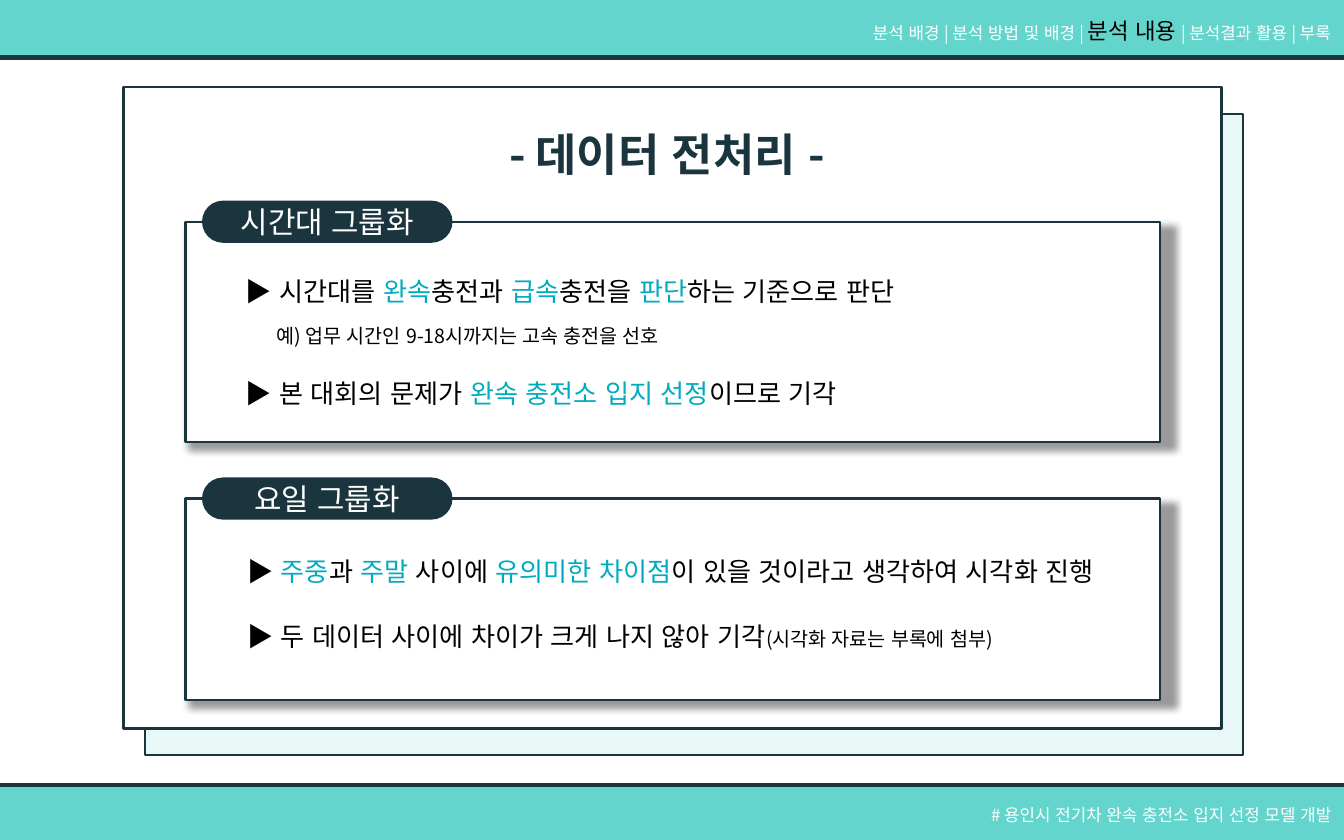
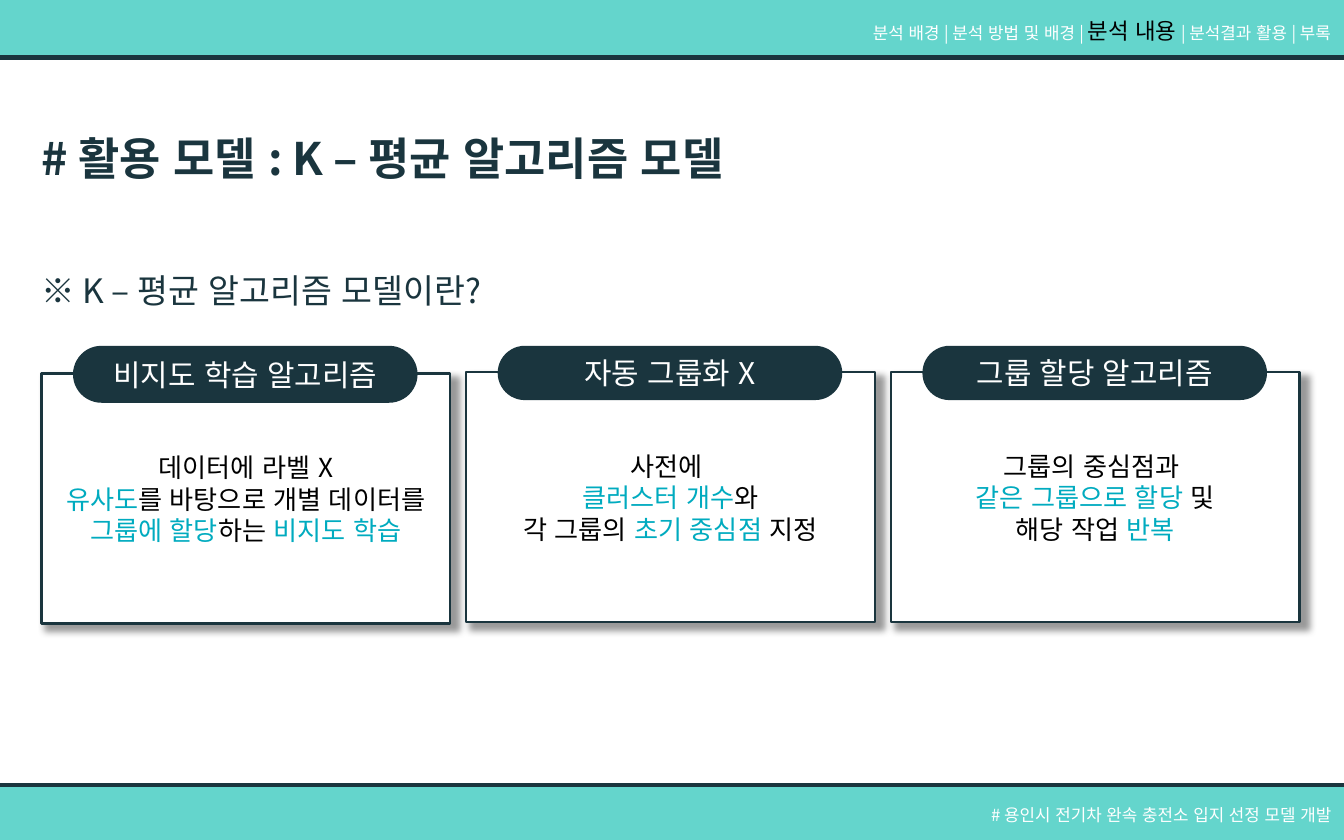
"""Build two analysis slides on data preprocessing and the K-means model."""
import pptx
import pptx.dml.color
import pptx.enum.shapes
import pptx.enum.text
import pptx.oxml
import pptx.oxml.ns
import pptx.util
from pptx.util import Inches

FONT = "Noto Sans CJK KR"
NAVY, TEAL, MINT, CYAN = "1A353E", "31C7BB", "65D5CC", "00ABBF"
WHITE, BLACK = "FFFFFF", "000000"
SHAPE = pptx.enum.shapes.MSO_SHAPE
ALIGN = pptx.enum.text.PP_ALIGN
ANCHOR = pptx.enum.text.MSO_ANCHOR
FIT = pptx.enum.text.MSO_AUTO_SIZE.SHAPE_TO_FIT_TEXT

NAV = "분석 배경 | 분석 방법 및 배경 | *분석 내용* | 분석결과 활용 | 부록"
FOOTER = "# 용인시 전기차 완속 충전소 입지 선정 모델 개발"

PREPROCESSING = "- 데이터 전처리 - "
PANELS = [
    {
        "name": "시간대 그룹화",
        "box": (1.38, 1.65, 7.25, 1.64),
        "list": (1.73, 2, 5.79, 1.1),
        "lines": [
            {"text": "▶ 시간대를 *완속*충전과 *급속*충전을 *판단*하는 기준으로 판단"},
            {"text": "예) 업무 시간인 9-18시까지는 고속 충전을 선호",
             "size": 10.5, "before": 9, "indent": 0.23},
            {"text": "▶ 본 대회의 문제가 *완속 충전소 입지 선정*이므로 기각", "before": 16},
        ],
    },
    {
        "name": "요일 그룹화",
        "box": (1.38, 3.71, 7.25, 1.5),
        "list": (1.74, 4.08, 6.53, 0.83),
        "lines": [
            {"text": "▶ *주중*과 *주말* 사이에 *유의미한 차이점*이 있을 것이라고 생각하여 시각화 진행"},
            {"text": "▶ 두 데이터 사이에 차이가 크게 나지 않아 기각*(시각화 자료는 부록에 첨부)*",
             "before": 18, "accent": (BLACK, 10.5)},
        ],
    },
]

MODEL = "# 활용 모델 : K – 평균 알고리즘 모델"
QUESTION = "※ K – 평균 알고리즘 모델이란?"
CARDS = [
    ("비지도 학습 알고리즘", 2.78, 0.41,
     ["데이터에 라벨 X", "*유사도*를 바탕으로 개별 데이터를", "*그룹에 할당*하는 *비지도 학습*"]),
    ("자동 그룹화 X", 2.77, 0.39,
     ["사전에 ", "*클러스터 개수*와", "각 그룹의 *초기 중심점* 지정"]),
    ("그룹 할당 알고리즘", 2.77, 0.39,
     ["그룹의 중심점과 ", "*같은 그룹으로 할당* 및", "해당 작업 *반복*"]),
]


def rgb(color):
    """Turn a hex string into a colour."""
    return pptx.dml.color.RGBColor.from_string(color)


def add_xml(parent, xml):
    """Append a DrawingML element to a parent element."""
    parent.append(pptx.oxml.parse_xml(xml.replace(" ", f" {pptx.oxml.ns.nsdecls('a')} ", 1)))


def write(tf, lines, align, size=14, color=BLACK, spacing=None, bold=False):
    """Fill a text frame; parts between asterisks take the accent style."""
    tf.word_wrap = True
    for i, line in enumerate(lines):
        p = tf.paragraphs[0] if i == 0 else tf.add_paragraph()
        pPr = p._p.get_or_add_pPr()
        pPr.set("marL", str(Inches(line.get("indent", 0))))
        pPr.set("indent", "0")
        add_xml(pPr, "<a:buNone />")
        p.alignment = align
        p.space_before = pptx.util.Pt(line.get("before", 0))
        if spacing:
            p.line_spacing = spacing
        p.font.size = pptx.util.Pt(line.get("size", size))
        p.font.bold = bold
        p.font.name = FONT
        add_xml(p.font._element, f'<a:ea typeface="{FONT}"/>')
        accent_color, accent_size = line.get("accent", (CYAN, None))
        for j, part in enumerate(line["text"].split("*")):
            if part:
                r = p.add_run()
                r.text = part
                r.font.color.rgb = rgb(accent_color if j % 2 else color)
                r.font._element.set("lang", "ko-KR")
                r.font._element.set("altLang", "en-US")
                if j % 2 and accent_size:
                    r.font.size = pptx.util.Pt(accent_size)


def add_box(s, box, fill, weight=1.25, alpha=None, kind=SHAPE.RECTANGLE):
    """Add a navy-outlined shape, see-through when alpha is given."""
    sp = s.shapes.add_shape(kind, *map(Inches, box))
    sp.shadow.inherit = False
    sp.fill.solid()
    sp.fill.fore_color.rgb = rgb(fill)
    sp.line.color.rgb = rgb(NAVY)
    sp.line.width = pptx.util.Pt(weight)
    if alpha:
        srgb = sp._element.spPr.find(pptx.oxml.ns.qn("a:solidFill"))[0]
        add_xml(srgb, f'<a:alpha val="{alpha * 1000}"/>')
    return sp


def add_panel(s, box):
    """Add a white panel with a soft shadow to the lower right."""
    sp = add_box(s, box, WHITE)
    effects = sp._element.spPr.find(pptx.oxml.ns.qn("a:effectLst"))
    add_xml(effects, '<a:outerShdw blurRad="50800" dist="38100" dir="2700000" sx="101000" '
                     'sy="101000" algn="tl" rotWithShape="0"><a:srgbClr val="000000">'
                     '<a:alpha val="40000"/></a:srgbClr></a:outerShdw>')
    return sp


def add_pill(s, box, text):
    """Add a rounded navy label."""
    sp = add_box(s, box, NAVY, 1, kind=SHAPE.ROUNDED_RECTANGLE)
    sp.adjustments[0] = 0.5
    sp.text_frame.vertical_anchor = ANCHOR.MIDDLE
    write(sp.text_frame, [{"text": text}], ALIGN.CENTER, 16, WHITE)


def add_label(s, box, line, align, size, color, spacing=None):
    """Add a one-line text box."""
    tf = s.shapes.add_textbox(*map(Inches, box)).text_frame
    write(tf, [line], align, size, color, spacing)
    tf.auto_size = FIT


def place(s, ph, box, lines, align, **style):
    """Move a placeholder to the front, position it and fill it."""
    s.shapes._spTree.append(ph._element)
    ph.left, ph.top, ph.width, ph.height = map(Inches, box)
    tf = ph.text_frame
    tf.vertical_anchor = ANCHOR.TOP
    write(tf, lines, align, **style)
    tf.auto_size = FIT


def add_title(s, box, text, align):
    """Fill the slide title."""
    place(s, s.shapes.title, box, [{"text": text}], align,
          size=24, color=NAVY, spacing=1.5, bold=True)


def add_slide(prs, layout):
    """Add a slide with the shared bands, navigation and footer."""
    s = prs.slides.add_slide(prs.slide_layouts[layout])
    add_box(s, (-0.22, -0.23, 10.44, 0.66), TEAL, 2.5, 75)
    add_label(s, (5.82, -0.02, 4.18, 0.37), {"text": NAV, "accent": (BLACK, 12)},
              ALIGN.RIGHT, 9, WHITE, 1.5)
    add_box(s, (-0.31, 5.84, 10.44, 0.57), TEAL, 2.5, 75)
    add_label(s, (6.74, 5.86, 3.26, 0.3), {"text": FOOTER}, ALIGN.RIGHT, 9, WHITE, 1.5)
    return s


def build_preprocessing(prs):
    """Build the slide with the two grouping panels."""
    s = add_slide(prs, 3)
    add_box(s, (1.08, 0.85, 8.17, 4.77), MINT, alpha=15)
    add_box(s, (0.92, 0.65, 8.17, 4.77), WHITE)
    add_title(s, (3.64, 0.69, 2.72, 0.64), PREPROCESSING, ALIGN.CENTER)
    for idx, panel in enumerate(PANELS, 1):
        left, top = panel["box"][:2]
        add_panel(s, panel["box"])
        add_pill(s, (left + 0.13, top - 0.15, 1.85, 0.3), panel["name"])
        place(s, s.placeholders[idx], panel["list"], panel["lines"], ALIGN.JUSTIFY)


def build_model(prs):
    """Build the slide with the three model cards."""
    s = add_slide(prs, 5)
    add_title(s, (0.21, 0.72, 5.34, 0.64), MODEL, ALIGN.LEFT)
    add_label(s, (0.21, 1.96, 3.5, 0.4), {"text": QUESTION}, ALIGN.LEFT, 18, NAVY)
    for i, (name, top, pill_height, lines) in enumerate(CARDS):
        left = 0.31 + 3.16 * i
        sp = add_panel(s, (left, top, 3.04, 1.86))
        sp.text_frame.vertical_anchor = ANCHOR.MIDDLE
        write(sp.text_frame, [{"text": text} for text in lines], ALIGN.CENTER)
        add_pill(s, (left + 0.24, 2.58, 2.55, pill_height), name)


def main():
    """Create and save the presentation."""
    prs = pptx.Presentation()
    prs.slide_width, prs.slide_height = Inches(10), Inches(6.25)
    build_preprocessing(prs)
    build_model(prs)
    prs.save("out.pptx")


if __name__ == "__main__":
    main()
